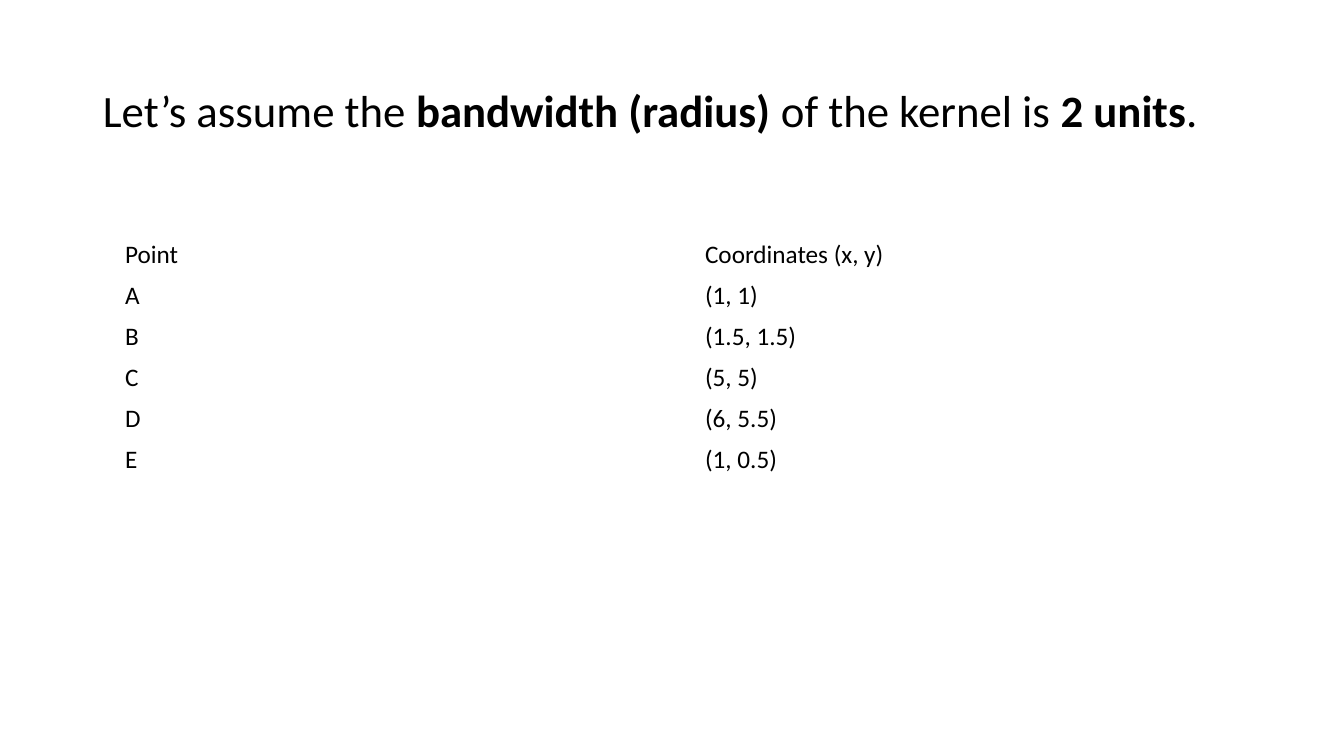
from dataclasses import dataclass
from pptx import Presentation
from pptx.dml.color import RGBColor as RGB
from pptx.enum.text import MSO_ANCHOR as Anchor
from pptx.util import Pt

TITLE = [
    ("Let’s assume the ", False),
    ("bandwidth (radius)", True),
    (" of the kernel is ", False),
    ("2 units", True),
    (".", False),
]
ROWS = [
    ("Point", "Coordinates (x, y)"),
    ("A", "(1, 1)"),
    ("B", "(1.5, 1.5)"),
    ("C", "(5, 5)"),
    ("D", "(6, 5.5)"),
    ("E", "(1, 0.5)"),
]


@dataclass(frozen=True)
class Theme:
    font: str = "Calibri"
    ink: RGB = RGB(0, 0, 0)
    head: int = 32
    body: int = 18


THEME = Theme()
WIDE, HIGH = 1344, 756
TITLE_BOX = (93, 40, 1159, 146)
LEFT, TOP, COL, ROW = 115, 234, 580, 41


def px(n):
    """Turn px into EMU, at 100.8 px to the inch."""
    return round(n * 914400 / 100.8)


def write(par, text, size=THEME.body, bold=False):
    run = par.add_run()
    run.text = text
    font = run.font
    font.name, font.size, font.bold = THEME.font, Pt(size), bold
    font.color.rgb = THEME.ink


def add_title(slide):
    frame = slide.shapes.add_textbox(*map(px, TITLE_BOX)).text_frame
    frame.word_wrap = True
    frame.vertical_anchor = Anchor.MIDDLE
    par = frame.paragraphs[0]
    par.line_spacing = 0.9
    for text, bold in TITLE:
        write(par, text, size=THEME.head, bold=bold)


def add_points(slide):
    rows, cols = len(ROWS), len(ROWS[0])
    box = (LEFT, TOP, cols * COL, rows * ROW)
    table = slide.shapes.add_table(rows, cols, *map(px, box)).table
    table.first_row = table.horz_banding = False
    for r, row in enumerate(ROWS):
        for c, text in enumerate(row):
            cell = table.cell(r, c)
            cell.fill.background()
            cell.vertical_anchor = Anchor.MIDDLE
            write(cell.text_frame.paragraphs[0], text)


def main():
    deck = Presentation()
    deck.slide_width, deck.slide_height = px(WIDE), px(HIGH)
    slide = deck.slides.add_slide(deck.slide_layouts[6])
    add_title(slide)
    add_points(slide)
    deck.save("out.pptx")


if __name__ == "__main__":
    main()
